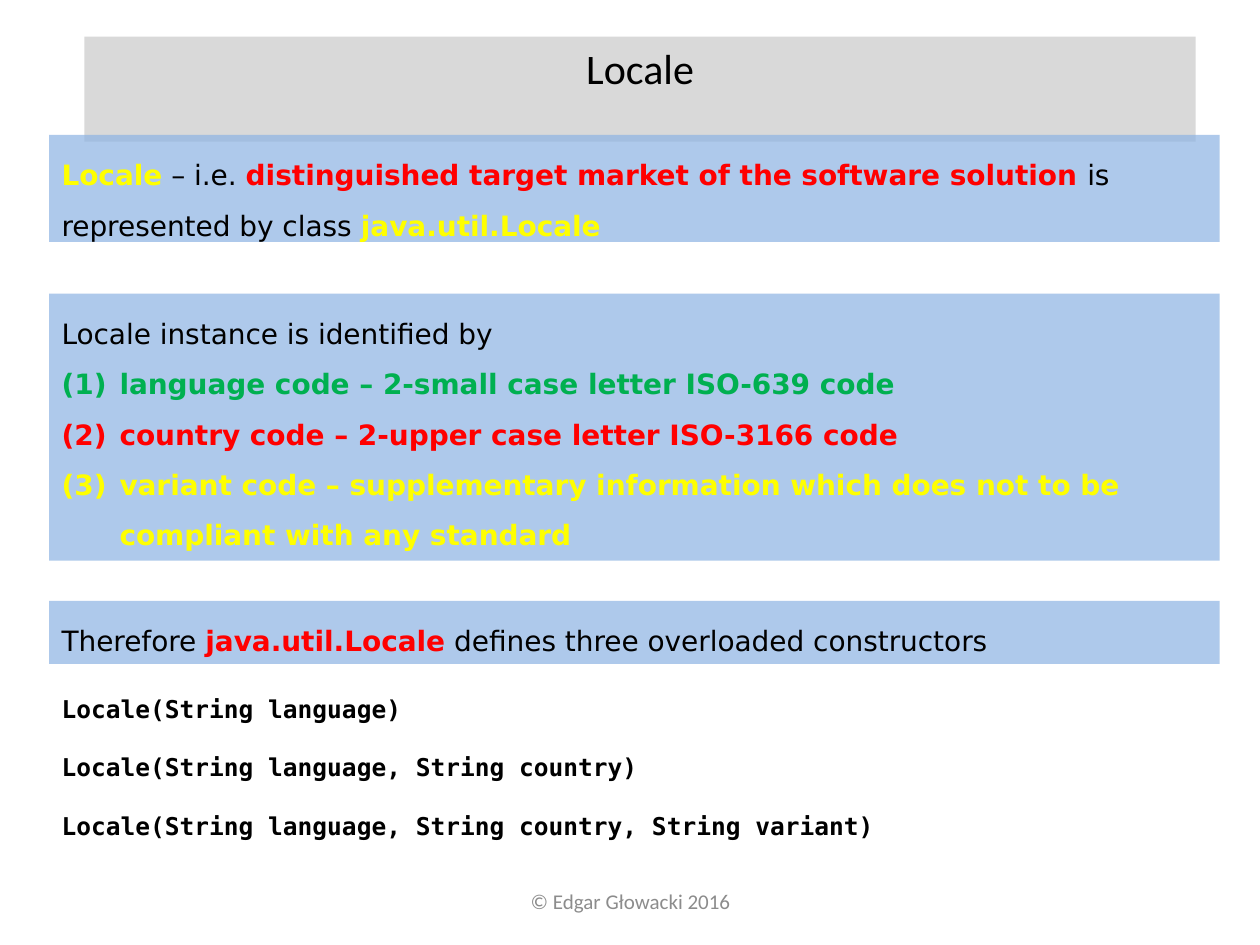
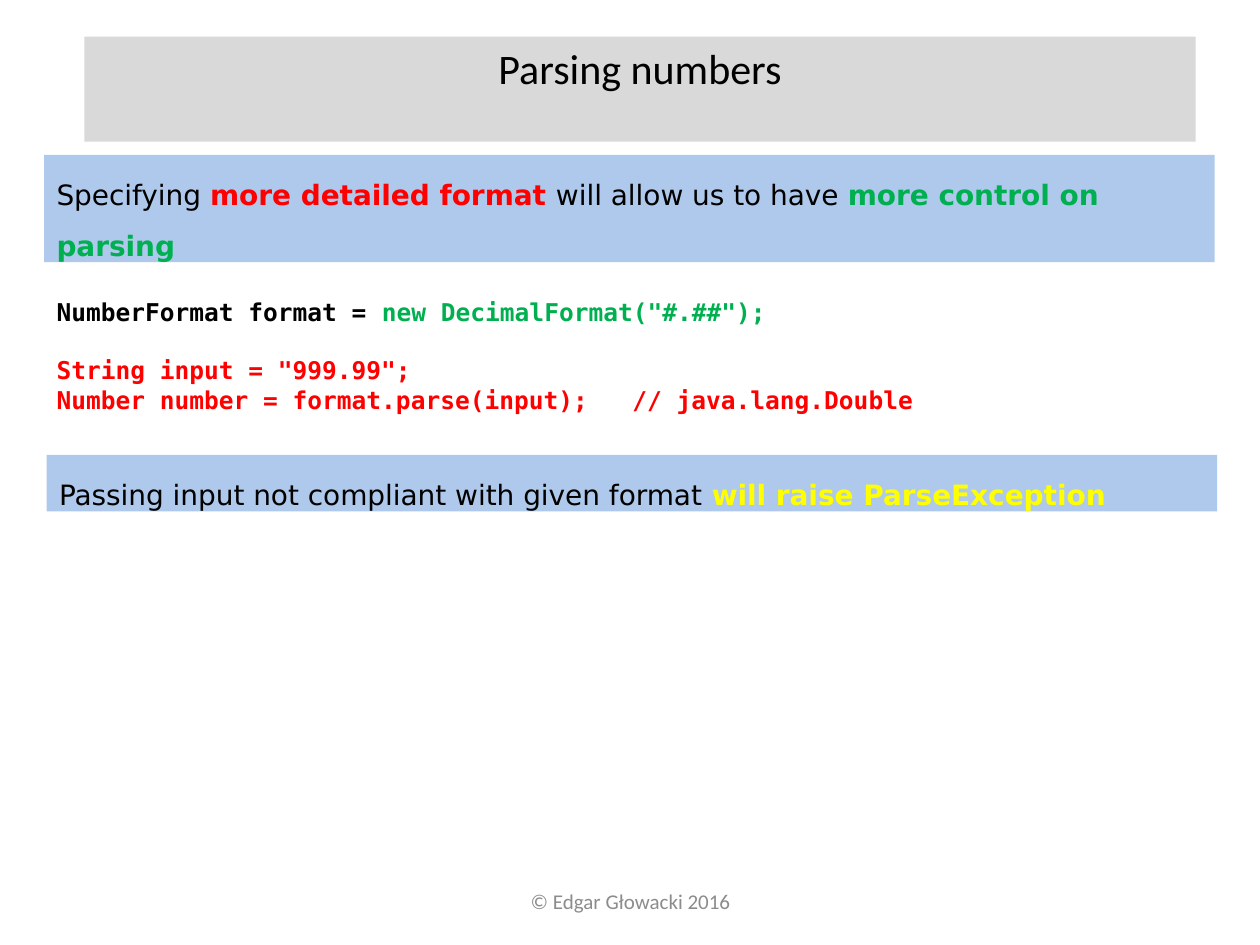
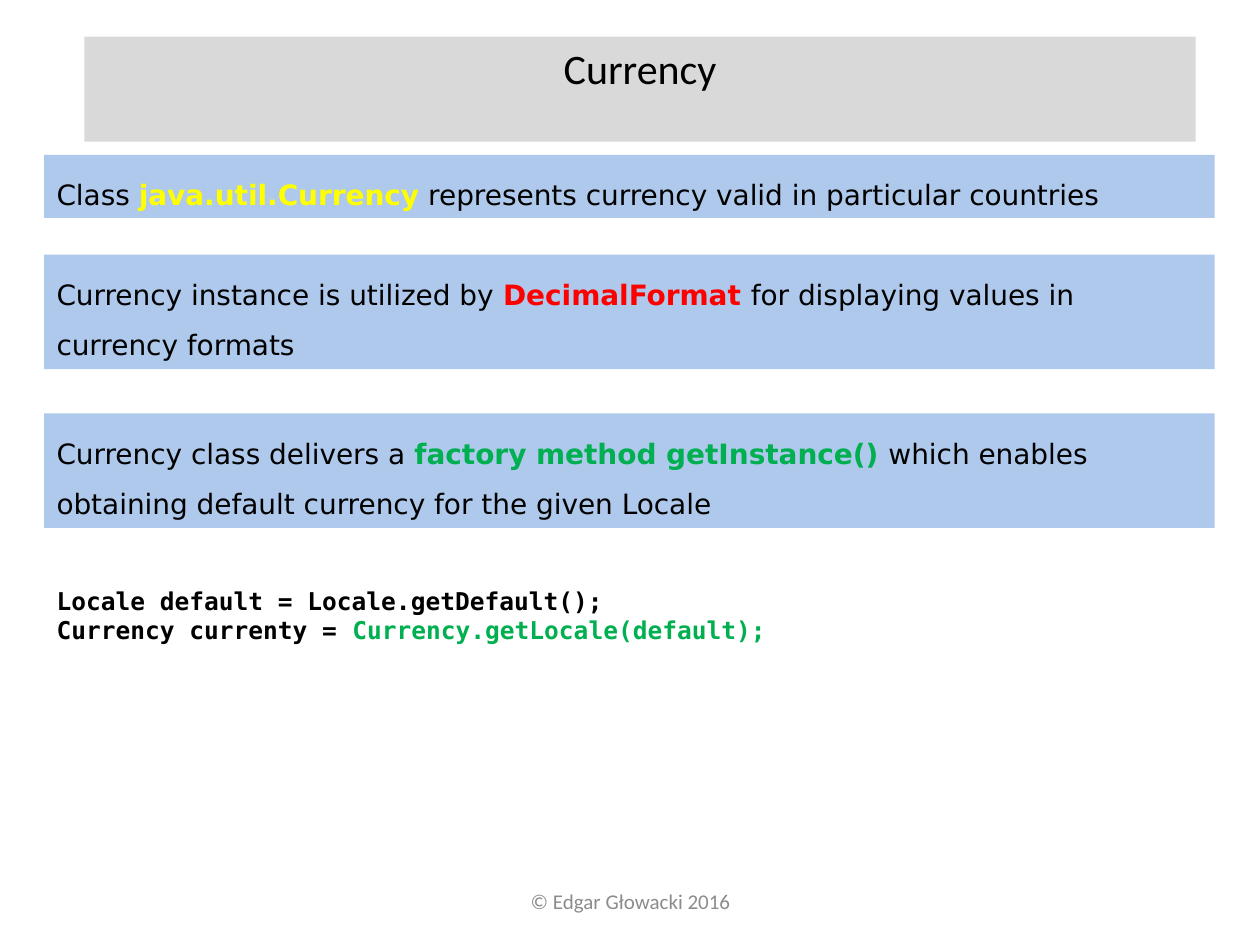
import pptx
import pptx.util
import pptx.dml.color
import pptx.enum.shapes
import pptx.enum.text
import pptx.oxml.ns
import lxml.etree

Pt = pptx.util.Pt
ALIGN = pptx.enum.text.PP_ALIGN
ANCHOR = pptx.enum.text.MSO_ANCHOR

# Shared colours and fonts
BLACK, GREY, TITLE_FILL, BAND_FILL = "000000", "8C8C8C", "D9D9D9", "8EB4E3"
RED, GREEN, YELLOW = "FF0000", "00B050", "FFFF00"
HEAD_FONT, BODY_FONT, CODE_FONT = "Calibri", "DejaVu Sans", "DejaVu Sans Mono"

# Slide grid: 100 columns by 75 rows
COLS, ROWS = 100, 75
BAND_COLS = 92.9
CODE_LINE = 16.5  # height of one line of code, points

prs = pptx.Presentation()
prs.slide_width = pptx.util.Inches(10)
prs.slide_height = pptx.util.Inches(7.5)


def rgb(value):
    return pptx.dml.color.RGBColor.from_string(value)


def grid(left, top, width, height):
    """Turn columns and rows into slide lengths."""
    col, row = prs.slide_width / COLS, prs.slide_height / ROWS
    return [round(n) for n in (left * col, top * row, width * col, height * row)]


def add_child(parent, tag, **attributes):
    child = lxml.etree.SubElement(parent, pptx.oxml.ns.qn(tag))
    for name, value in attributes.items():
        child.set(name, str(value))
    return child


def fill_shape(shape, colour, opacity=100):
    shape.fill.solid()
    shape.fill.fore_color.rgb = rgb(colour)
    if opacity < 100:
        node = shape.fill._xPr.find(".//" + pptx.oxml.ns.qn("a:srgbClr"))
        add_child(node, "a:alpha", val=opacity * 1000)


def set_frame(shape, anchor=ANCHOR.TOP, grow=True):
    tf = shape.text_frame
    tf.word_wrap = True
    tf.vertical_anchor = anchor
    if grow:
        tf.auto_size = pptx.enum.text.MSO_AUTO_SIZE.SHAPE_TO_FIT_TEXT
    return tf


def add_runs(p, runs, font, size, bold=None):
    """Add (text, colour) runs; coloured ones are bold unless told otherwise."""
    for text, colour in runs:
        r = p.add_run()
        r.text = text
        r.font.name, r.font.size = font, Pt(size)
        r.font.color.rgb = rgb(colour)
        r.font.bold = colour != BLACK if bold is None else bold


def next_paragraph(tf, index):
    return tf.add_paragraph() if index else tf.paragraphs[0]


def number_paragraph(p, indent):
    pPr = p._p.get_or_add_pPr()
    pPr.set("marL", str(indent))
    pPr.set("indent", str(-indent))
    add_child(pPr, "a:buFont", typeface="+mj-lt")
    add_child(pPr, "a:buAutoNum", type="arabicParenBoth")


def add_tab_stop(p, position):
    tabs = add_child(p._p.get_or_add_pPr(), "a:tabLst")
    add_child(tabs, "a:tab", pos=position, algn="l")


def add_slide(title):
    """Slide with the title bar and the footer."""
    s = prs.slides.add_slide(prs.slide_layouts[5])
    bar = s.shapes.title
    bar.left, bar.top, bar.width, bar.height = grid(6.7, 2.9, 88.2, 5)
    fill_shape(bar, TITLE_FILL)
    p = set_frame(bar).paragraphs[0]
    p.alignment = ALIGN.CENTER
    add_runs(p, [(title, BLACK)], HEAD_FONT, 24, False)

    footer = s.shapes.add_textbox(*grid(34.2, 69.5, 31.7, 4))
    p = set_frame(footer, ANCHOR.MIDDLE, False).paragraphs[0]
    p.alignment = ALIGN.CENTER
    add_runs(p, [("© Edgar Głowacki 2016", GREY)], HEAD_FONT, 12, False)
    return s


def add_band(s, left, top, height, intro, numbered=()):
    """Blue band: a paragraph, then an optional numbered list."""
    band = s.shapes.add_shape(pptx.enum.shapes.MSO_SHAPE.RECTANGLE,
                              *grid(left, top, BAND_COLS, height))
    band.shadow.inherit = False
    band.line.fill.background()
    fill_shape(band, BAND_FILL, 71)
    tf = set_frame(band)
    for i, runs in enumerate([intro, *([item] for item in numbered)]):
        p = next_paragraph(tf, i)
        p.alignment = ALIGN.LEFT
        p.line_spacing = 1.5
        if i:
            number_paragraph(p, grid(4.6, 0, 0, 0)[0])
        add_runs(p, runs, BODY_FONT, 16)


def add_code(s, left, top, height, lines, gaps=()):
    """Code listing; gaps holds the lines that follow a one-line gap."""
    tf = set_frame(s.shapes.add_textbox(*grid(left, top, BAND_COLS, height)))
    for i, runs in enumerate(lines):
        p = next_paragraph(tf, i)
        if i in gaps:
            p.space_before = Pt(CODE_LINE)
        if any("\t" in text for text, _ in runs):
            add_tab_stop(p, grid(45.7, 0, 0, 0)[0])
        add_runs(p, runs, CODE_FONT, 14, True)


# Locale
s = add_slide("Locale")
add_band(s, 3.9, 10.7, 8.5, [
    ("Locale", YELLOW), (" – i.e. ", BLACK),
    ("distinguished target market of the software solution ", RED),
    ("is represented by class ", BLACK), ("java.util.Locale", YELLOW)])
add_band(s, 3.9, 23.3, 21.2, [("Locale instance is identified by", BLACK)], [
    ("language code – 2-small case letter ISO-639 code", GREEN),
    ("country code – 2-upper case letter ISO-3166 code", RED),
    ("variant code – supplementary information which does not to be "
     "compliant with any standard", YELLOW)])
add_band(s, 3.9, 47.7, 5, [
    ("Therefore ", BLACK), ("java.util.Locale", RED),
    (" defines three overloaded constructors", BLACK)])
add_code(s, 3.9, 54.6, 12.8, [
    [("Locale(String language)", BLACK)],
    [("Locale(String language, String country)", BLACK)],
    [("Locale(String language, String country, String variant)", BLACK)],
], gaps=(1, 2))

# Parsing numbers
s = add_slide("Parsing numbers")
add_code(s, 3.5, 23.1, 10.4, [
    [("NumberFormat format = ", BLACK), ('new DecimalFormat("#.##");', GREEN)],
    [('String input = "999.99";', RED)],
    [("Number number = format.parse(input);\t// java.lang.Double", RED)],
], gaps=(1,))
add_band(s, 3.5, 12.3, 8.5, [
    ("Specifying ", BLACK), ("more detailed format ", RED),
    ("will allow us to have ", BLACK), ("more control on parsing", GREEN)])
add_band(s, 3.7, 36.1, 4.5, [
    ("Passing input not compliant with given format ", BLACK),
    ("will raise ParseException", YELLOW)])

# Currency
s = add_slide("Currency")
add_code(s, 3.5, 46, 5.7, [
    [("Locale default = Locale.getDefault();", BLACK)],
    [("Currency currenty = ", BLACK), ("Currency.getLocale(default);", GREEN)]])
add_band(s, 3.5, 12.3, 5, [
    ("Class ", BLACK), ("java.util.Currency", YELLOW),
    (" represents currency valid in particular countries", BLACK)])
add_band(s, 3.5, 20.2, 9.1, [
    ("Currency instance is utilized by ", BLACK), ("DecimalFormat ", RED),
    ("for displaying values in currency formats", BLACK)])
add_band(s, 3.5, 32.8, 9.1, [
    ("Currency class delivers a ", BLACK),
    ("factory method getInstance() ", GREEN),
    ("which enables obtaining default currency for the given Locale", BLACK)])

prs.save("out.pptx")
